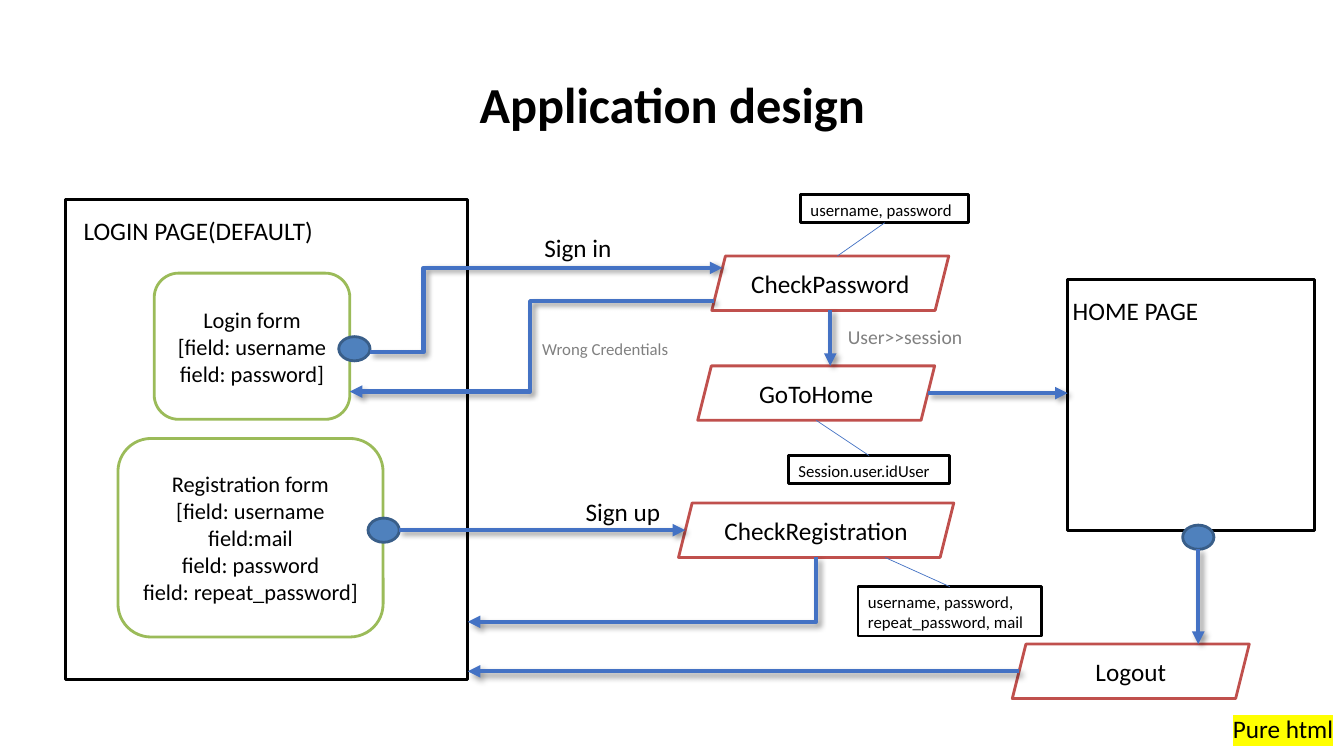
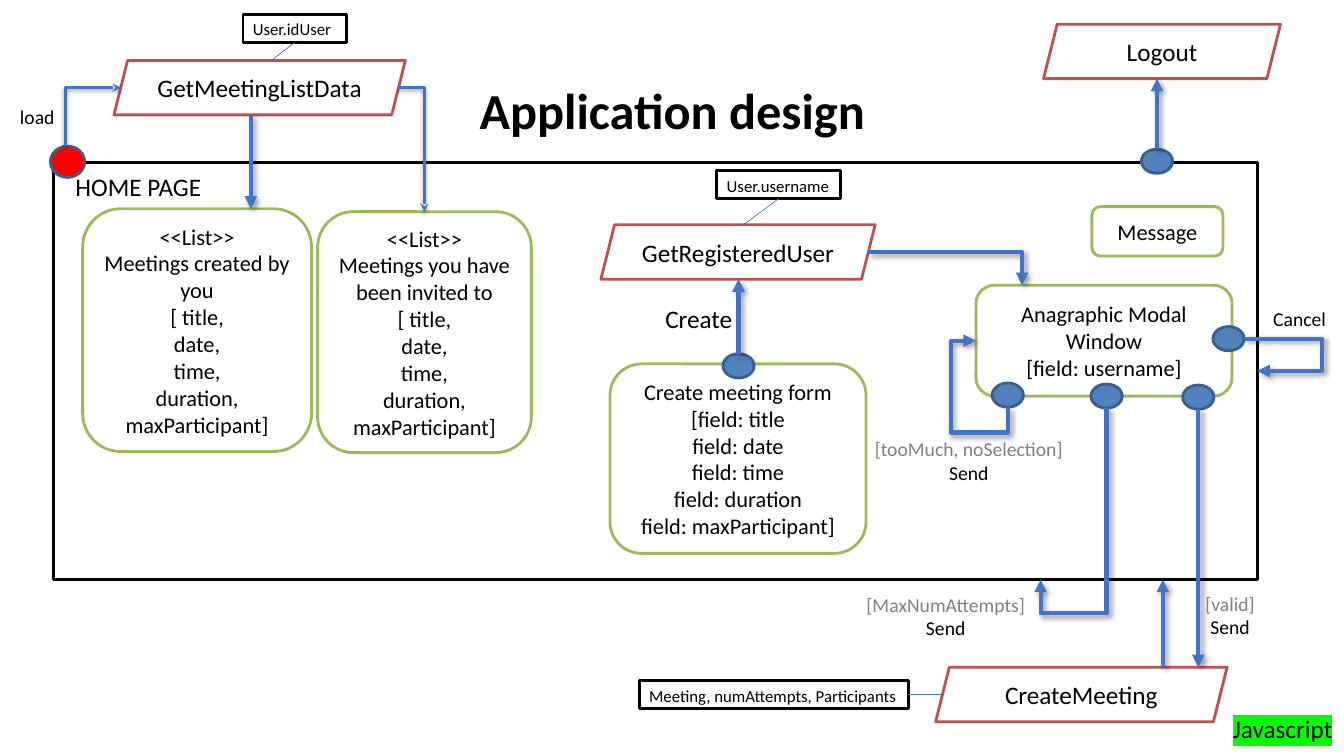
from lxml import etree
from pptx import Presentation
from pptx.dml.color import RGBColor
from pptx.enum import shapes, text
from pptx.oxml.ns import qn

PX = 9144  # EMU: 100 px to the inch
PT = 12700
SLIDE_W, SLIDE_H = 1333, 750
PORT_W, PORT_H = 31, 24
ACTION_H = 54
NOTE_LINE, NOTE_PAD = 21, 7

THEME = {
    "font": "Calibri",
    "ink": "000000", "muted": "808080", "paper": "FFFFFF", "arrow": "4472C4",
    "form": "9BBB59", "action": "C0504D",
    "port": "4F81BD", "port_edge": "395E89", "start": "FF0000",
    "html": "FFFF00", "script": "00FF00",
    "title": 36, "large": 18, "body": 16, "label": 14, "small": 12,
}

SHAPE = shapes.MSO_SHAPE
ANCHOR, ALIGN = text.MSO_ANCHOR, text.PP_ALIGN
# kind: preset, fill, line colour, line width, text size, anchor, alignment
KINDS = {
    "page": (SHAPE.RECTANGLE, None, "ink", 2.25, "large", ANCHOR.MIDDLE, ALIGN.LEFT),
    "form": (SHAPE.ROUNDED_RECTANGLE, "paper", "form", 2, "body", ANCHOR.MIDDLE, ALIGN.CENTER),
    "action": (SHAPE.PARALLELOGRAM, "paper", "action", 2, "large", ANCHOR.MIDDLE, ALIGN.CENTER),
    "note": (SHAPE.RECTANGLE, "paper", "ink", 2, "small", ANCHOR.TOP, ALIGN.LEFT),
    "port": (SHAPE.OVAL, "port", "port_edge", 2, "small", ANCHOR.MIDDLE, ALIGN.CENTER),
    "start": (SHAPE.OVAL, "start", "port_edge", 2, "small", ANCHOR.MIDDLE, ALIGN.CENTER),
}
# line: width, arrowhead, shadow (alpha %, blur pt, distance pt, angle)
LINES = {
    "callout": (0.5, None, None),
    "flow": (3, "triangle", (40, 4, 3, 45)),
    "load": (2, "stealth", (38, 3.1, 1.6, 90)),
}

LIST_FIELDS = "[ title,\ndate,\ntime,\nduration,\nmaxParticipant]"

# Nodes: name, box (height is set by rule for actions, notes and ports), caption.
# Lines: start, end, then the coordinates at which the route turns;
# an end is node, side and, unless it is the middle, the fraction along that side.
SLIDES = [
    {
        "title_top": 34,
        "tag": ("Pure html", "html"),
        "page": [("login page", (65, 198, 399, 476), ""), ("home page", (1059, 277, 245, 249), "")],
        "form": [
            ("login form", (153, 271, 194, 145), "Login form\n[field: username\nfield: password]"),
            ("registration form", (117, 435, 263, 197),
             "Registration form\n[field: username\nfield:mail\n"
             "field: password\nfield: repeat_password]"),
        ],
        "action": [
            ("check password", (706, 254, 235), "CheckPassword"),
            ("go home", (692, 363, 235), "GoToHome"),
            ("check registration", (673, 499, 273), "CheckRegistration"),
            ("logout", (1004, 639, 235), "Logout"),
        ],
        "note": [
            ("credentials", (794, 193, 167), "username, password"),
            ("session user", (782, 452, 160), "Session.user.idUser"),
            ("registration data", (851, 582, 182), "username, password,\nrepeat_password, mail"),
        ],
        "port": [("sign in", (336, 334), ""), ("sign up", (365, 514), ""),
                 ("leave", (1173, 521), "")],
        "callout": [
            (("credentials", "bottom"), ("check password", "top", 0.53)),
            (("session user", "top"), ("go home", "bottom")),
            (("registration data", "top"), ("check registration", "bottom", 0.75)),
        ],
        "flow": [
            (("sign in", "right", 0.65), ("check password", "left", 0.22), 420),
            (("check password", "bottom"), ("go home", "top")),
            (("go home", "right"), ("home page", "left")),
            (("check registration", "bottom"), ("login page", "right", 0.88)),
            (("leave", "bottom"), ("logout", "top")),
            (("logout", "left"), ("login page", "right")),
            (("sign up", "right"), ("check registration", "left")),
            (("check password", "left", 0.83), ("login form", "right", 0.81), 526),
        ],
        "labels": [
            (73, 209, "large", "LOGIN PAGE(DEFAULT)", "ink"),
            (1054, 288, "large", "HOME PAGE", "ink"),
            (530, 226, "large", "Sign in", "ink"),
            (571, 487, "large", "Sign up", "ink"),
            (831, 317, "label", "User>>session", "muted"),
            (528, 331, "small", "Wrong Credentials", "muted"),
        ],
    },
    {
        "title_top": 40,
        "tag": ("Javascript", "script"),
        "page": [("home page", (53, 161, 1194, 414), "")],
        "form": [
            ("created", (82, 207, 227, 241), "<<List>>\nMeetings created by you\n" + LIST_FIELDS),
            ("invited", (315, 210, 212, 239),
             "<<List>>\nMeetings you have been invited to\n" + LIST_FIELDS),
            ("meeting form", (605, 361, 254, 188),
             "Create meeting form\n[field: title\nfield: date\n"
             "field: time\nfield: duration\nfield: maxParticipant]"),
            ("message", (1083, 205, 130, 49), "Message"),
            ("modal", (968, 283, 254, 110), "Anagraphic Modal Window\n[field: username]"),
        ],
        "action": [
            ("get meetings", (113, 60, 289), "GetMeetingListData"),
            ("logout", (1035, 24, 235), "Logout"),
            ("get user", (596, 223, 272), "GetRegisteredUser"),
            ("create meeting", (928, 662, 289), "CreateMeeting"),
        ],
        "note": [
            ("user id", (241, 14, 103), "User.idUser"),
            ("user name", (711, 169, 123), "User.username"),
            ("meeting data", (634, 675, 267), "Meeting, numAttempts, Participants"),
        ],
        "port": [("leave", (1132, 148), ""), ("create", (717, 351), ""),
                 ("cancel", (1203, 324), ""), ("valid", (1173, 382), ""),
                 ("retry", (984, 380), ""), ("give up", (1082, 381), "")],
        "start": [("start", (50, 145, 34, 31), "")],
        "callout": [
            (("user id", "bottom"), ("get meetings", "top", 0.54)),
            (("user name", "bottom"), ("get user", "top", 0.52)),
            (("meeting data", "right"), ("create meeting", "left")),
        ],
        "flow": [
            (("get meetings", "bottom", 0.47), ("created", "top")),
            (("leave", "top"), ("logout", "bottom")),
            (("create", "top"), ("get user", "bottom")),
            (("give up", "bottom"), ("home page", "bottom", 0.82), 608),
            (("retry", "bottom"), ("modal", "left"), 429, 943),
            (("valid", "bottom"), ("create meeting", "top")),
            (("get user", "right"), ("modal", "top", 0.18)),
            (("cancel", "right"), ("home page", "right"), 1311),
            (("create meeting", "top", 0.78), ("home page", "bottom")),
        ],
        "load": [
            (("start", "top", 0.44), ("get meetings", "left")),
            (("get meetings", "right"), ("invited", "top")),
        ],
        "labels": [
            (65, 165, "large", "HOME PAGE", "ink"),
            (650, 296, "large", "Create", "ink"),
            (1253, 300, "label", "Cancel", "ink"),
            (10, 99, "label", "load", "ink"),
        ],
        # centre x, top, condition under which the form is sent
        "outcomes": [(1220, 582, "[valid]"), (938, 583, "[MaxNumAttempts]"),
                     (961, 429, "[tooMuch, noSelection]")],
    },
]


def emu(lengths):
    return [round(n * PX) for n in lengths]


def rgb(name):
    return RGBColor.from_string(THEME[name])


def style_paragraph(p, size, colour="ink", align=ALIGN.LEFT, bold=False):
    p.alignment = align
    for r in p.runs:
        r.font.name = THEME["font"]
        r.font.size = THEME[size] * PT
        r.font.bold = bold
        r.font.color.rgb = rgb(colour)


def add_label(slide, box, size, lines, align=ALIGN.LEFT, bold=False):
    """Add a text box from (text, colour) lines and return its frame."""
    tf = slide.shapes.add_textbox(*emu(box)).text_frame
    tf.word_wrap = True
    tf.text = "\n".join(line for line, _ in lines)
    for p, (_, colour) in zip(tf.paragraphs, lines):
        style_paragraph(p, size, colour, align, bold)
    return tf


def add_title(slide, top):
    tf = add_label(slide, (92, top, 1150, 145), "title",
                   [("Application design", "ink")], ALIGN.CENTER, True)
    tf.vertical_anchor = ANCHOR.MIDDLE
    tf.paragraphs[0].line_spacing = 0.9


def add_tag(slide, caption, colour):
    """Add the highlighted technology name in the bottom right corner."""
    tf = add_label(slide, (1213, 703, 120, 40), "large", [(caption, "ink")])
    tf.word_wrap = False
    rPr = tf.paragraphs[0].runs[0].font._element
    highlight = etree.Element(qn("a:highlight"))
    etree.SubElement(highlight, qn("a:srgbClr"), val=THEME[colour])
    rPr.find(qn("a:solidFill")).addnext(highlight)


def full_box(kind, box, caption):
    """Complete a box with the sizes its kind prescribes."""
    if kind == "action":
        return (*box, ACTION_H)
    if kind == "note":
        return (*box, NOTE_PAD + NOTE_LINE * len(caption.split("\n")))
    if kind == "port":
        return (*box, PORT_W, PORT_H)
    return box


def add_node(slide, kind, box, caption):
    preset, fill, edge, width, size, anchor, align = KINDS[kind]
    sp = slide.shapes.add_shape(preset, *emu(box))
    sp.shadow.inherit = False
    if fill:
        sp.fill.solid()
        sp.fill.fore_color.rgb = rgb(fill)
    else:
        sp.fill.background()
    sp.line.color.rgb = rgb(edge)
    sp.line.width = round(width * PT)
    if caption:
        tf = sp.text_frame
        tf.text = caption
        tf.vertical_anchor = anchor
        for p in tf.paragraphs:
            style_paragraph(p, size, align=align)


def side_point(nodes, name, side, fraction=0.5):
    kind, (x, y, w, h) = nodes[name]
    if side in ("top", "bottom"):
        return x + w * fraction, y + h * (side == "bottom")
    slant = h / 4 if kind == "action" else 0
    if side == "left":
        return x + slant * (1 - fraction), y + h * fraction
    return x + w - slant * fraction, y + h * fraction


def find_route(nodes, start, end, *turns):
    """Return the corner points of a right-angled route."""
    axis = int(start[1] in ("top", "bottom"))
    end_axis = int(end[1] in ("top", "bottom"))
    points = [side_point(nodes, *start)]
    goal = list(side_point(nodes, *end))
    if not turns and axis == end_axis:
        goal[1 - axis] = points[0][1 - axis]
        return points + [tuple(goal)]
    for stop in (*turns, None):
        corner = list(points[-1])
        corner[axis] = goal[axis] if stop is None else stop
        points.append(tuple(corner))
        axis = 1 - axis
    return points + [tuple(goal)]


def add_elbow(slide, points):
    """Add a bent connector through points joined by right angles."""
    upright = points[0][0] == points[1][0]
    cx, cy = ((a + b) / 2 for a, b in zip(points[0], points[-1]))
    # A route that starts vertically is laid out sideways, then turned by 90 degrees.
    route = [(y - cy, cx - x) if upright else (x - cx, y - cy) for x, y in points]
    first, last = route[0], route[-1]
    cxn = slide.shapes.add_connector(
        shapes.MSO_CONNECTOR.ELBOW,
        *emu((cx + first[0], cy + first[1], cx + last[0], cy + last[1])))
    spPr = cxn._element.spPr
    if upright:
        spPr.find(qn("a:xfrm")).set("rot", "5400000")
    geom = spPr.find(qn("a:prstGeom"))
    geom.set("prst", f"bentConnector{len(points) - 1}")
    guides = geom.find(qn("a:avLst"))
    for i, via in enumerate(route[1:-2]):
        axis = i % 2
        ratio = (via[axis] - first[axis]) / (last[axis] - first[axis])
        etree.SubElement(guides, qn("a:gd"), name=f"adj{i + 1}",
                         fmla=f"val {round(ratio * 100000)}")
    return cxn


def add_line(slide, kind, points):
    width, head, shadow = LINES[kind]
    if len(points) == 2:
        cxn = slide.shapes.add_connector(
            shapes.MSO_CONNECTOR.STRAIGHT, *emu(points[0] + points[1]))
    else:
        cxn = add_elbow(slide, points)
    cxn.line.color.rgb = rgb("arrow")
    cxn.line.width = round(width * PT)
    if head:
        etree.SubElement(cxn.line._get_or_add_ln(), qn("a:tailEnd"), type=head)
    effects = etree.SubElement(cxn._element.spPr, qn("a:effectLst"))
    if shadow:
        alpha, blur, dist, angle = shadow
        outer = etree.SubElement(
            effects, qn("a:outerShdw"), blurRad=str(round(blur * PT)),
            dist=str(round(dist * PT)), dir=str(angle * 60000), rotWithShape="0")
        colour = etree.SubElement(outer, qn("a:srgbClr"), val=THEME["ink"])
        etree.SubElement(colour, qn("a:alpha"), val=str(alpha * 1000))


def build_slide(prs, content):
    slide = prs.slides.add_slide(prs.slide_layouts[6])
    add_title(slide, content["title_top"])
    add_tag(slide, *content["tag"])
    nodes = {}
    for kind in KINDS:
        for name, box, caption in content.get(kind, []):
            nodes[name] = kind, full_box(kind, box, caption)
            add_node(slide, kind, nodes[name][1], caption)
    for kind in LINES:
        for start, end, *turns in content.get(kind, []):
            if kind == "callout":
                points = [side_point(nodes, *start), side_point(nodes, *end)]
            else:
                points = find_route(nodes, start, end, *turns)
            add_line(slide, kind, points)
    for x, y, size, caption, colour in content["labels"]:
        width = min(20 + len(caption) * THEME[size], SLIDE_W - x)
        add_label(slide, (x, y, width, 2 * THEME[size]), size, [(caption, colour)])
    for x, y, condition in content.get("outcomes", []):
        half = min(120, SLIDE_W - x)
        add_label(slide, (x - half, y, 2 * half, 57), "label",
                  [(condition, "muted"), ("Send", "ink")], ALIGN.CENTER)


def main():
    prs = Presentation()
    prs.slide_width, prs.slide_height = emu((SLIDE_W, SLIDE_H))
    for content in SLIDES:
        build_slide(prs, content)
    prs.save("out.pptx")


if __name__ == "__main__":
    main()
